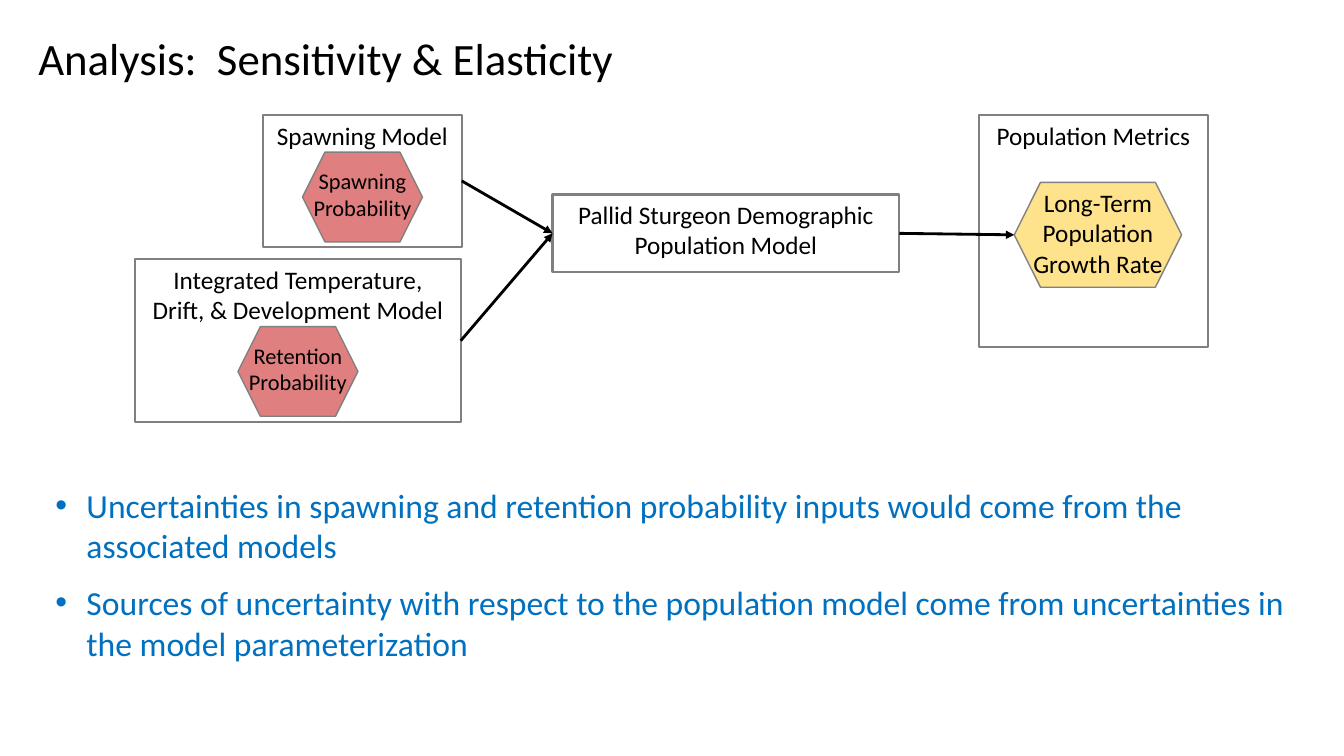
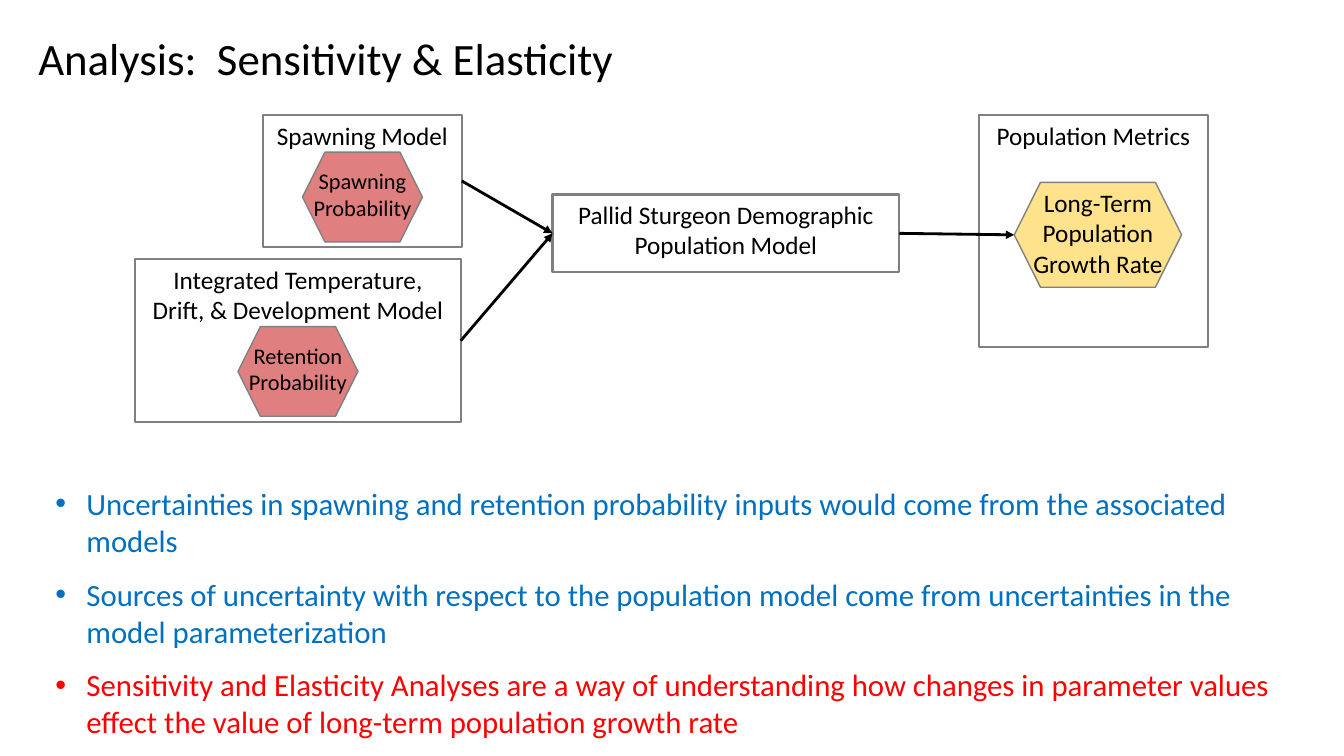
"""Builds two slides on sensitivity and elasticity analysis of a population model."""
import lxml.etree
import pptx
import pptx.dml.color
import pptx.enum.shapes
import pptx.enum.text
import pptx.oxml.ns
import pptx.util

Inches, Pt = pptx.util.Inches, pptx.util.Pt
SHAPES = pptx.enum.shapes.MSO_SHAPE
ALIGN = pptx.enum.text.PP_ALIGN

FONT = "Calibri"
BLACK, GRAY, BLUE, RED = "000000", "808080", "0070C0", "FF0000"
INPUT_FILL, METRIC_FILL = ("C00000", 50), ("FFD966", 75)

TITLE = "Analysis:  Sensitivity & Elasticity"
MODELS = {
    "metrics": ("Population Metrics", (9.71, 1.14, 2.27, 2.3)),
    "spawning": ("Spawning Model", (2.61, 1.14, 1.97, 1.31)),
    "drift": ("Integrated Temperature, Drift, & Development Model", (1.34, 2.57, 3.23, 1.62)),
    "population": ("Pallid Sturgeon Demographic Population Model", (5.48, 1.93, 3.44, 0.77)),
}
HEXAGONS = {
    "growth": ("Long-Term Population Growth Rate", (10.06, 1.81, 1.66, 1.04), METRIC_FILL, 18, 0),
    "spawning input": ("Spawning Probability", (3, 1.51, 1.19, 0.89), INPUT_FILL, 16, 0.1),
    "retention input": ("Retention Probability", (2.36, 3.24, 1.19, 0.89), INPUT_FILL, 16, 0.1),
}
ARROWS = [("population", "growth"), ("spawning", "population"), ("drift", "population")]

UNCERTAINTIES = [
    ("Uncertainties in spawning and retention probability inputs would come from the "
     "associated models", BLUE),
    ("Sources of uncertainty with respect to the population model come from uncertainties in "
     "the model parameterization", BLUE),
]
ANALYSES = [
    ("Sensitivity and Elasticity Analyses are a way of understanding how changes in parameter "
     "values effect the value of long-term population growth rate", RED),
]
SLIDES = [(UNCERTAINTIES, 24, 1.88), (UNCERTAINTIES + ANALYSES, 22, 2.66)]


def color(value):
    return pptx.dml.color.RGBColor.from_string(value)


def add_element(parent, tag, **attributes):
    return lxml.etree.SubElement(parent, pptx.oxml.ns.qn(tag), attributes)


def write(paragraph, text, size, text_color=BLACK, align=ALIGN.LEFT):
    paragraph.alignment = align
    run = paragraph.add_run()
    run.text = text
    run.font.name, run.font.size = FONT, Pt(size)
    run.font.color.rgb = color(text_color)


def prepare_frame(shape):
    frame = shape.text_frame
    frame.word_wrap = True
    frame.vertical_anchor = pptx.enum.text.MSO_ANCHOR.TOP
    return frame


def add_outline(slide, kind, box, width, fill=None):
    shape = slide.shapes.add_shape(kind, *map(Inches, box))
    shape.shadow.inherit = False
    shape.line.color.rgb = color(GRAY)
    shape.line.width = Pt(width)
    if fill:
        shape.fill.solid()
        shape.fill.fore_color.rgb = color(fill[0])
        solid = shape.fill._xPr.find(pptx.oxml.ns.qn("a:solidFill"))
        add_element(solid[0], "a:alpha", val=str(fill[1] * 1000))
    else:
        shape.fill.background()
    return shape


def add_model(slide, text, box):
    shape = add_outline(slide, SHAPES.RECTANGLE, box, 1.5)
    write(prepare_frame(shape).paragraphs[0], text, 18, align=ALIGN.CENTER)
    return shape


def add_hexagon(slide, text, box, fill, size, label_offset):
    shape = add_outline(slide, SHAPES.HEXAGON, box, 1, fill)
    left, top, width, height = box
    label = slide.shapes.add_textbox(
        *map(Inches, (left, top + label_offset, width, height - 2 * label_offset)))
    frame = prepare_frame(label)
    frame.margin_left = frame.margin_right = 0
    write(frame.paragraphs[0], text, size, align=ALIGN.CENTER)
    return shape


def add_arrow(slide, source, target):
    arrow = slide.shapes.add_connector(
        pptx.enum.shapes.MSO_CONNECTOR.STRAIGHT,
        source.left + source.width, source.top + source.height // 2,
        target.left, target.top + target.height // 2)
    arrow.line.color.rgb = color(BLACK)
    arrow.line.width = Pt(2)
    add_element(arrow.line._get_or_add_ln(), "a:tailEnd", type="triangle")
    add_element(arrow._element.spPr, "a:effectLst")


def add_title(slide):
    title = slide.shapes.title
    title.left, title.top, title.width, title.height = map(Inches, (0.28, 0.25, 12.74, 0.64))
    frame = prepare_frame(title)
    frame.auto_size = pptx.enum.text.MSO_AUTO_SIZE.NONE
    write(frame.paragraphs[0], TITLE, 32)


def add_diagram(slide):
    nodes = {name: add_model(slide, *model) for name, model in MODELS.items()}
    nodes.update({name: add_hexagon(slide, *hexagon) for name, hexagon in HEXAGONS.items()})
    for source, target in ARROWS:
        add_arrow(slide, nodes[source], nodes[target])


def add_bullets(slide, bullets, size, height):
    box = slide.shapes.add_textbox(*map(Inches, (0.45, 4.76, 12.43, height)))
    frame = prepare_frame(box)
    for index, (text, text_color) in enumerate(bullets):
        paragraph = frame.add_paragraph() if index else frame.paragraphs[0]
        write(paragraph, text, size, text_color)
        paragraph.space_after = Pt(12)
        properties = paragraph._p.get_or_add_pPr()
        indent = Inches(0.31)
        properties.set("marL", str(indent))
        properties.set("indent", str(-indent))
        add_element(properties, "a:buFont", typeface="Arial")
        add_element(properties, "a:buChar", char="•")


presentation = pptx.Presentation()
presentation.slide_width, presentation.slide_height = Inches(13.33), Inches(7.5)
for bullets, size, height in SLIDES:
    slide = presentation.slides.add_slide(presentation.slide_layouts[5])
    add_title(slide)
    add_diagram(slide)
    add_bullets(slide, bullets, size, height)
presentation.save("out.pptx")
